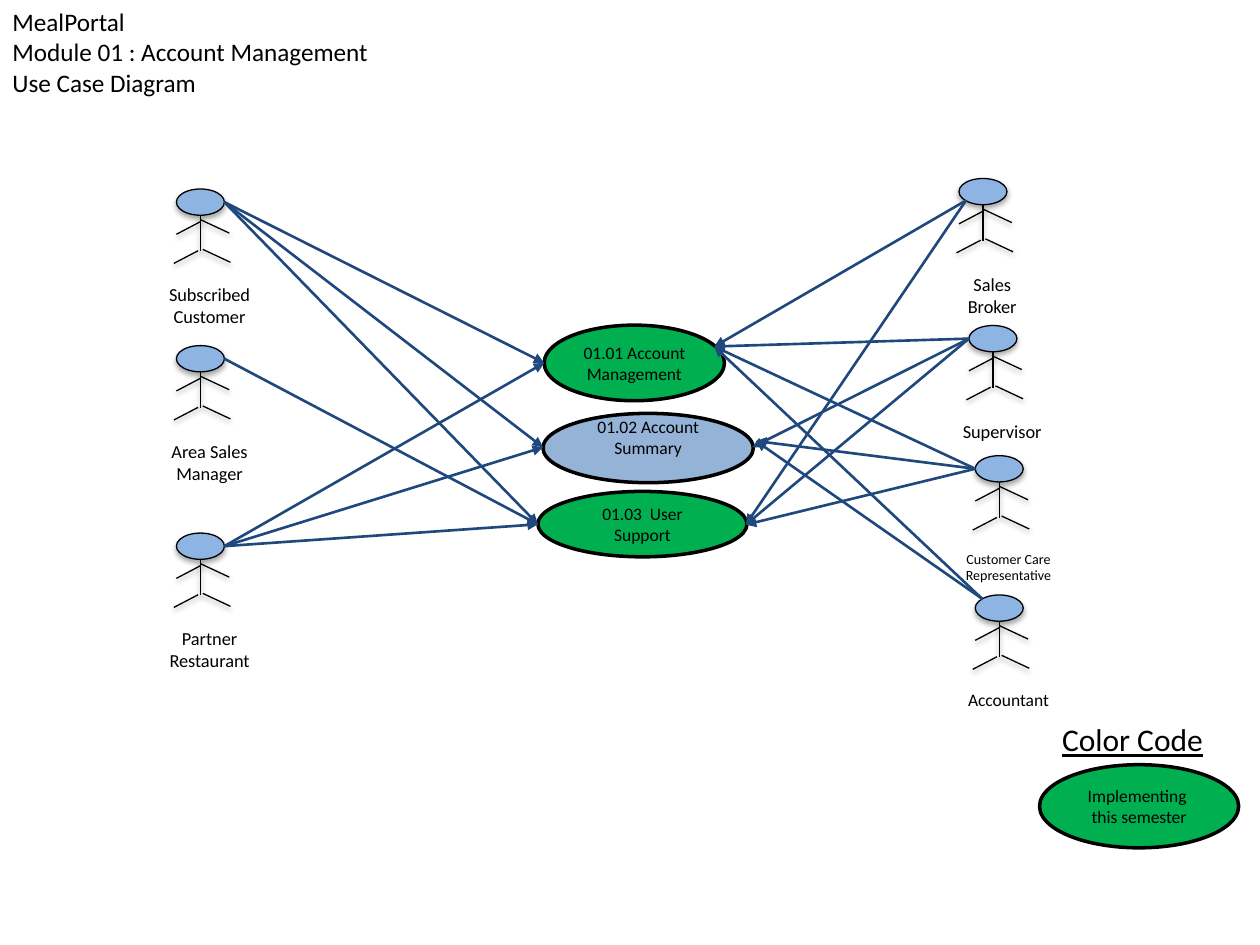
from dataclasses import dataclass

from lxml import etree
from pptx import Presentation
from pptx import util as u
from pptx.dml.color import RGBColor
from pptx.enum import shapes, text
from pptx.oxml import ns

Pt = u.Pt


@dataclass(frozen=True)
class Theme:
    """Colours, font and sizes used on the slide."""
    font: str = "Calibri"
    ink: str = "000000"
    planned: str = "00B050"
    later: str = "95B3D7"
    head: str = "8EB4E3"
    arrow: str = "1F497D"
    title_size: float = 14.4
    legend_size: float = 18
    case_size: float = 10
    actor_size: float = 10.5
    small_size: float = 8
    case_line: float = 2
    arrow_line: float = 1.5
    figure_line: float = 0.75


THEME = Theme()
HEAD_WIDTH, HEAD_HEIGHT = 27.4, 15

# Limbs, measured from the top left of the head
LIMBS = [
    (13.7, 15, 13.7, 35.6),
    (13.7, 18.7, 0, 25.9),
    (12.4, 35.3, -1.4, 42.5),
    (13.7, 17.5, 30.2, 25.2),
    (15.1, 34.5, 30.9, 41.9),
]

# Text, left, top, width, height, fill, bottom inset
USE_CASES = [
    ("01.01 Account Management", 311, 185.8, 103, 43.2, THEME.planned, 3.6),
    ("01.02 Account Summary", 310.3, 236.2, 120.2, 39.6, THEME.later, 15.6),
    ("01.03  User Support", 307.4, 280.8, 119.5, 37.4, THEME.planned, 3.6),
    ("Implementing  this semester", 594, 437, 113.8, 47.5, THEME.planned, 3.6),
]

# Points where arrows reach the use cases
LEFT_PORTS = {"account": (311, 207.4), "summary": (310.3, 255.6), "support": (307.4, 299.6)}
RIGHT_PORTS = {"account": (408.2, 198), "summary": (432, 252),
               "summary side": (429.8, 255.6), "support": (426.2, 299.8)}

# Points on the head where arrows start
EAST, WEST = (HEAD_WIDTH, HEAD_HEIGHT / 2), (0, HEAD_HEIGHT / 2)
NORTH_WEST, SOUTH_WEST = (4, 2.2), (4, 12.6)

# Name, left, top, label size, label height, arrow start, ports, port names
ACTORS = [
    ("Subscribed Customer", 100.8, 108, THEME.actor_size, 32.4,
     EAST, LEFT_PORTS, ["account", "summary", "support"]),
    ("Area Sales Manager", 100.8, 197.5, THEME.actor_size, 32.4,
     EAST, LEFT_PORTS, ["support"]),
    ("Partner Restaurant", 100.8, 304.6, THEME.actor_size, 32.4,
     EAST, LEFT_PORTS, ["account", "summary", "support"]),
    ("Sales Broker", 548, 102, THEME.actor_size, 32.4,
     SOUTH_WEST, RIGHT_PORTS, ["account", "support"]),
    ("Supervisor", 553.7, 186, THEME.actor_size, 20,
     WEST, RIGHT_PORTS, ["account", "summary side", "support"]),
    ("Customer Care Representative", 557.3, 260.4, THEME.small_size, 26.6,
     WEST, RIGHT_PORTS, ["account", "summary", "support"]),
    ("Accountant", 557.3, 340, THEME.case_size, 19.4,
     NORTH_WEST, RIGHT_PORTS, ["account", "summary"]),
]


def set_shadow(shape, alpha=None, distance=1.6):
    """Give a shape a soft shadow below it, or none when alpha is left out."""
    effects = etree.SubElement(shape._element.spPr, ns.qn("a:effectLst"))
    if alpha is None:
        return
    shadow = etree.SubElement(effects, ns.qn("a:outerShdw"), blurRad=str(Pt(3.1)),
                              dist=str(Pt(distance)), dir="5400000", rotWithShape="0")
    color = etree.SubElement(shadow, ns.qn("a:srgbClr"), val=THEME.ink)
    etree.SubElement(color, ns.qn("a:alpha"), val=str(alpha * 1000))


def write(shape, lines, size, align=text.PP_ALIGN.LEFT, anchor=text.MSO_ANCHOR.TOP,
          underline=None, wrap=True, bottom=3.6):
    """Write one paragraph per line into a shape."""
    frame = shape.text_frame
    frame.word_wrap = wrap
    frame.auto_size = text.MSO_AUTO_SIZE.NONE
    frame.vertical_anchor = anchor
    frame.margin_bottom = Pt(bottom)
    frame.text = "\n".join(lines)
    for paragraph in frame.paragraphs:
        paragraph.alignment = align
        font = paragraph.runs[0].font
        font.name, font.size, font.underline = THEME.font, Pt(size), underline
        font.color.rgb = RGBColor.from_string(THEME.ink)


def add_text(parent, lines, left, top, width, height, size, **text_format):
    """Add a text box."""
    box = parent.shapes.add_textbox(Pt(left), Pt(top), Pt(width), Pt(height))
    write(box, lines, size, **text_format)


def add_ellipse(parent, left, top, width, height, fill, line_width):
    """Add a filled ellipse with a dark outline."""
    ellipse = parent.shapes.add_shape(shapes.MSO_SHAPE.OVAL, Pt(left), Pt(top),
                                      Pt(width), Pt(height))
    ellipse.fill.solid()
    ellipse.fill.fore_color.rgb = RGBColor.from_string(fill)
    ellipse.line.color.rgb = RGBColor.from_string(THEME.ink)
    ellipse.line.width = Pt(line_width)
    return ellipse


def add_line(parent, start, end, color, width):
    """Add a straight line between two points."""
    line = parent.shapes.add_connector(shapes.MSO_CONNECTOR.STRAIGHT,
                                       *(Pt(value) for value in (*start, *end)))
    line.line.color.rgb = RGBColor.from_string(color)
    line.line.width = Pt(width)
    return line


def add_arrow(slide, start, end):
    """Add an association arrow from an actor to a use case."""
    arrow = add_line(slide, start, end, THEME.arrow, THEME.arrow_line)
    etree.SubElement(arrow.line._get_or_add_ln(), ns.qn("a:tailEnd"), type="triangle")
    set_shadow(arrow)


def add_use_case(slide, label, left, top, width, height, fill, bottom):
    """Add a use case ellipse with its label."""
    ellipse = add_ellipse(slide, left, top, width, height, fill, THEME.case_line)
    set_shadow(ellipse)
    write(ellipse, [label], THEME.case_size, align=text.PP_ALIGN.CENTER,
          anchor=text.MSO_ANCHOR.MIDDLE, bottom=bottom)


def add_actor(slide, name, left, top, size, label_height):
    """Add a grouped stick figure with its name below."""
    group = slide.shapes.add_group_shape()
    head = add_ellipse(group, left, top, HEAD_WIDTH, HEAD_HEIGHT, THEME.head,
                       THEME.figure_line)
    set_shadow(head, alpha=35, distance=1.8)
    for x1, y1, x2, y2 in LIMBS:
        limb = add_line(group, (left + x1, top + y1), (left + x2, top + y2),
                        THEME.ink, THEME.figure_line)
        set_shadow(limb, alpha=38)
    add_text(group, [name], left - 13.4, top + 50.4, 64.8, label_height, size,
             align=text.PP_ALIGN.CENTER)


def main():
    """Build the use case diagram and save it."""
    presentation = Presentation()
    presentation.slide_width, presentation.slide_height = Pt(720), Pt(540)
    slide = presentation.slides.add_slide(presentation.slide_layouts[6])

    add_text(slide, ["MealPortal", "Module 01 : Account Management", "Use Case Diagram"],
             0, 17.3, 240, 41.8, THEME.title_size,
             anchor=text.MSO_ANCHOR.MIDDLE, bottom=20.9)
    for use_case in USE_CASES:
        add_use_case(slide, *use_case)
    add_text(slide, ["Color Code"], 599.8, 408.2, 95.8, 28.8, THEME.legend_size,
             underline=True, wrap=False)
    for name, left, top, size, label_height, start, ports, targets in ACTORS:
        add_actor(slide, name, left, top, size, label_height)
        for target in targets:
            add_arrow(slide, (left + start[0], top + start[1]), ports[target])

    presentation.save("out.pptx")


main()
